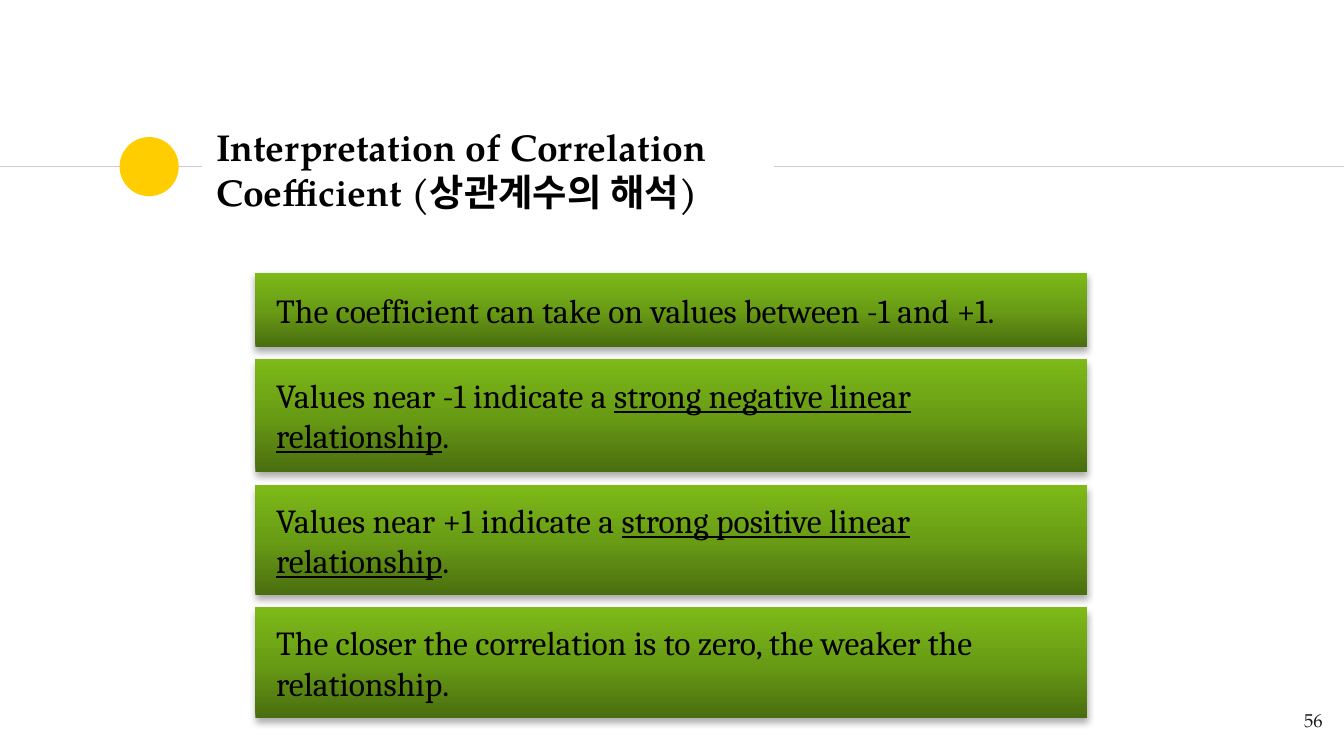
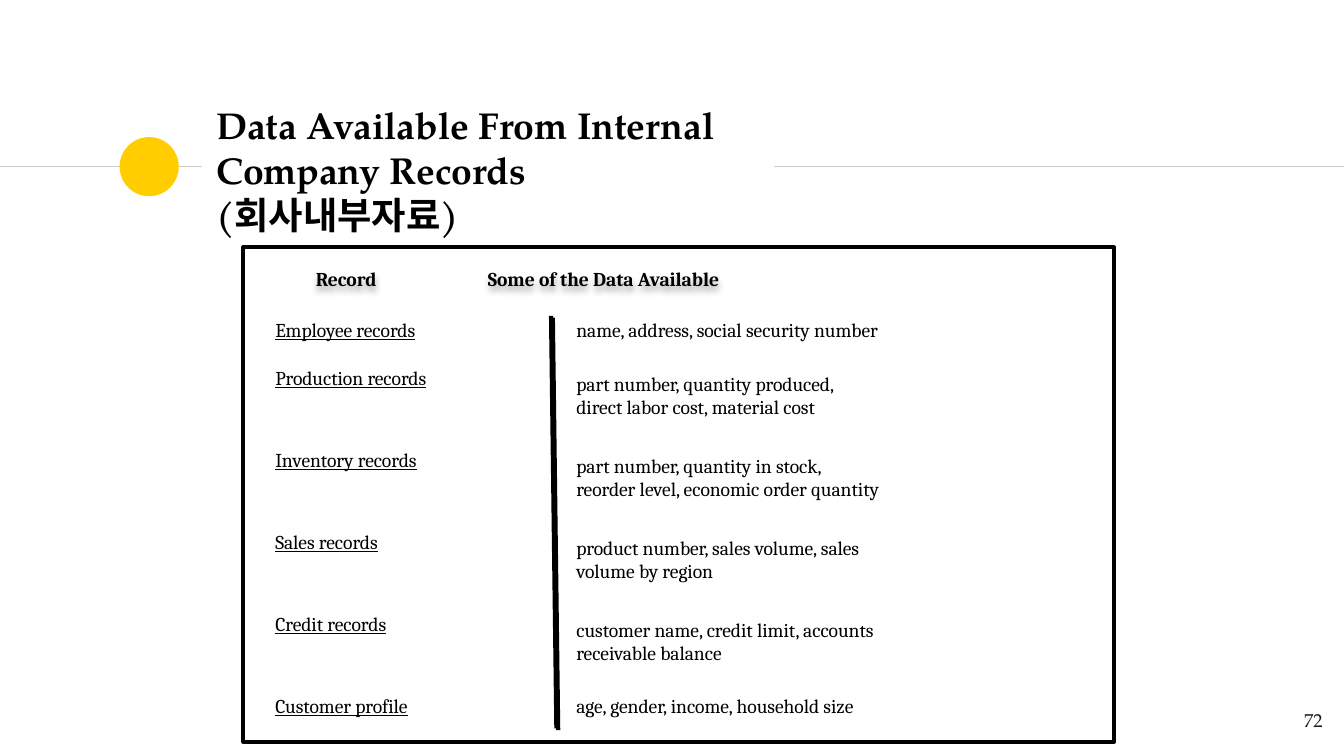
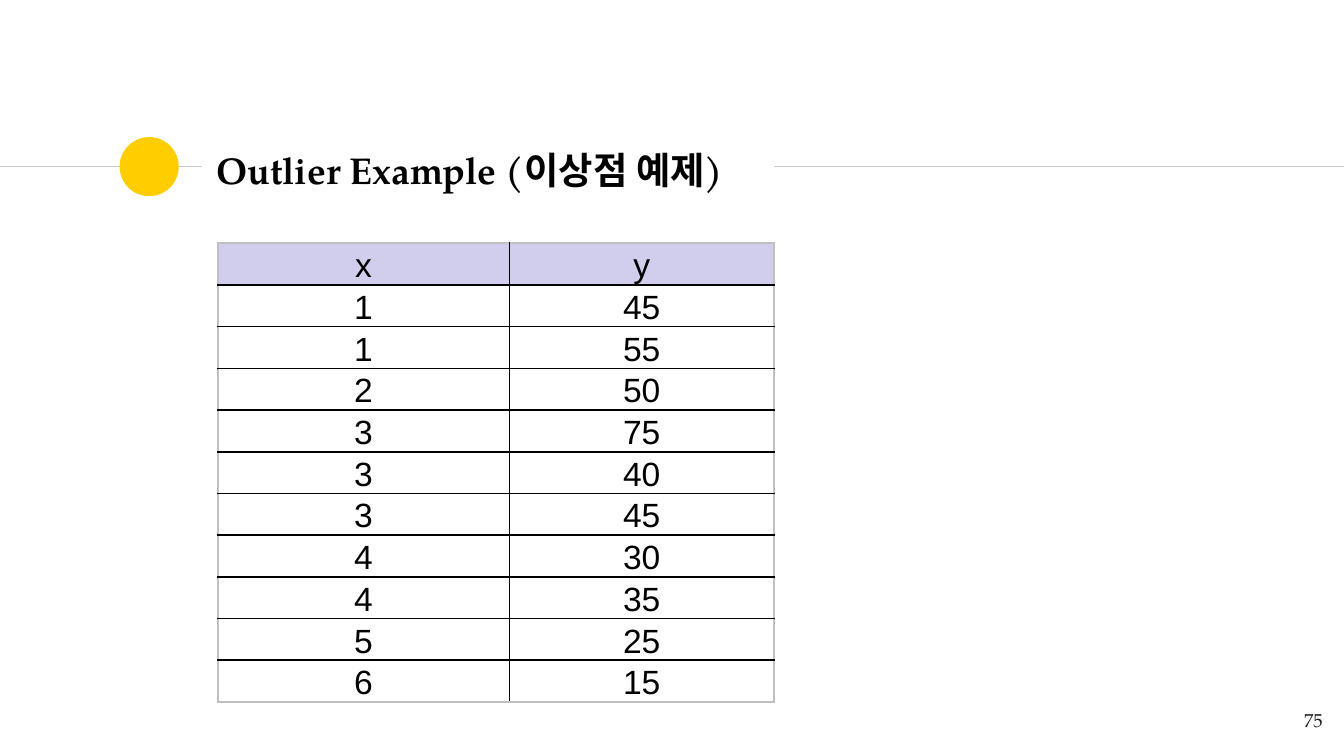
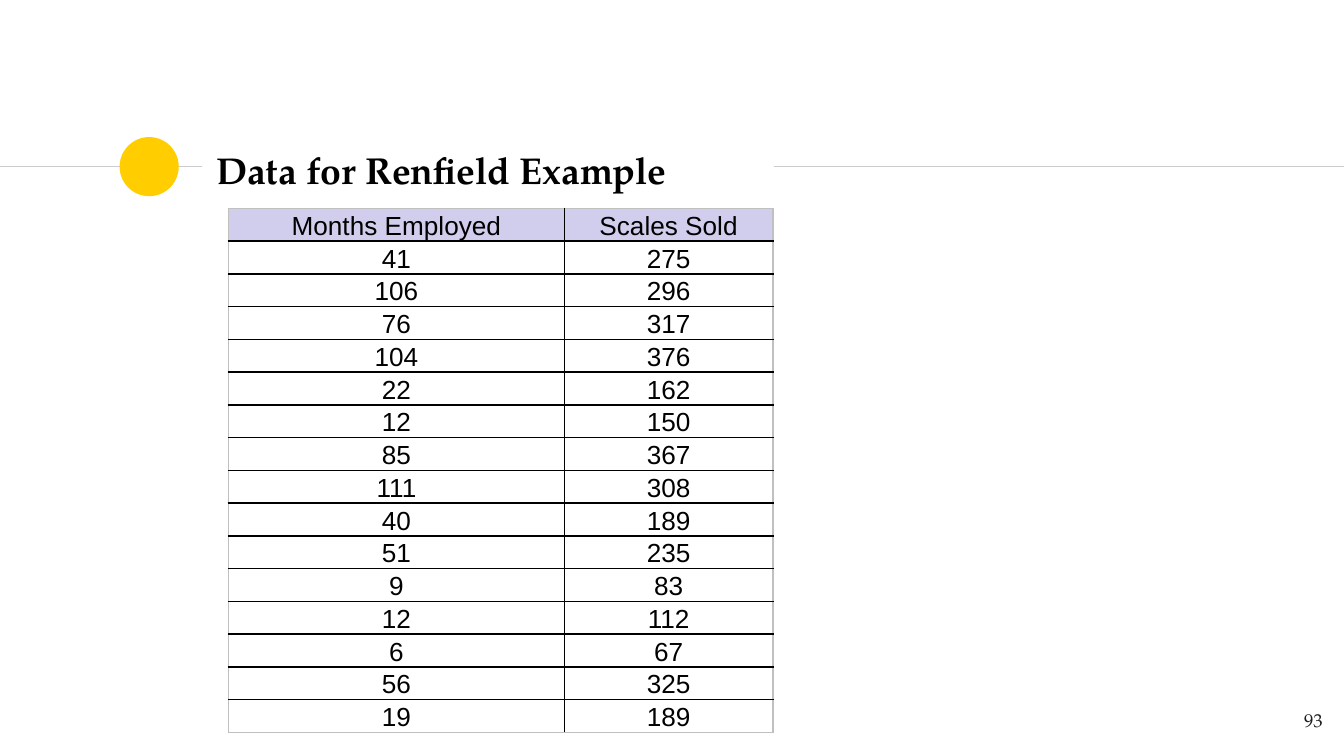
from dataclasses import dataclass

from pptx import Presentation
from pptx.dml.color import RGBColor
from pptx.enum.shapes import MSO_CONNECTOR, MSO_SHAPE
from pptx.enum.text import MSO_ANCHOR, PP_ALIGN
from pptx.oxml import parse_xml
from pptx.oxml.ns import nsdecls
from pptx.util import Inches, Pt

STRAIGHT = MSO_CONNECTOR.STRAIGHT
RECTANGLE, OVAL = MSO_SHAPE.RECTANGLE, MSO_SHAPE.OVAL
TOP, MIDDLE, BOTTOM = MSO_ANCHOR.TOP, MSO_ANCHOR.MIDDLE, MSO_ANCHOR.BOTTOM
LEFT, CENTER, RIGHT = PP_ALIGN.LEFT, PP_ALIGN.CENTER, PP_ALIGN.RIGHT


@dataclass(frozen=True)
class Theme:
    ink: str = "000000"
    paper: str = "FFFFFF"
    accent: str = "FFCD00"
    rule: str = "CCCCCC"
    number: str = "1D1D1B"
    header_fill: str = "D1CDED"
    table_edge: str = "C0C0C0"
    greens: tuple = ((0, "4A6E0F"), (50, "699C15"), (100, "7DBA18"))
    title_font: str = "TeX Gyre Pagella"
    body_font: str = "Cambria"
    table_font: str = "Arial"
    title_size: float = 20
    statement_size: float = 18
    record_size: float = 10.5
    number_size: float = 10


theme = Theme()

prs = Presentation()
prs.slide_width, prs.slide_height = Inches(10), Inches(5.625)
# Grid of 100 columns by 56.25 rows with square cells
COL, ROW = prs.slide_width / 100, prs.slide_height / 56.25

SHADOW = (f'<a:effectLst {nsdecls("a")}><a:outerShdw blurRad="{{}}" dist="{{}}" dir="{{}}" '
          'algn="ctr" rotWithShape="0"><a:srgbClr val="000000"><a:alpha val="{}"/>'
          '</a:srgbClr></a:outerShdw></a:effectLst>')
SOFT_SHADOW = SHADOW.format(Pt(3.5), Pt(2.2), 90 * 60000, 32000)
HARD_SHADOW = SHADOW.format(0, Pt(1.4), 45 * 60000, 100000)
NO_SHADOW = f'<a:effectLst {nsdecls("a")}/>'
STOPS = "".join(f'<a:gs pos="{pos * 1000}"><a:srgbClr val="{color}"/></a:gs>'
                for pos, color in theme.greens)
GREEN_GRADIENT = (f'<a:gradFill {nsdecls("a")} rotWithShape="1"><a:gsLst>{STOPS}</a:gsLst>'
                  '<a:lin ang="16200000" scaled="0"/></a:gradFill>')


def place(left, top, width, height):
    """Turn grid columns and rows into slide lengths."""
    return round(left * COL), round(top * ROW), round(width * COL), round(height * ROW)


def write(frame, paragraphs, font, size, color=theme.ink, bold=False, align=LEFT,
          anchor=MIDDLE, insets=(1, 0.5, 1, 0.5)):
    """Fill a text frame; each paragraph is a list of (text, underlined) runs."""
    frame.word_wrap = True
    frame.vertical_anchor = anchor
    left, top, right, bottom = insets
    frame.margin_left, frame.margin_right = round(left * COL), round(right * COL)
    frame.margin_top, frame.margin_bottom = round(top * ROW), round(bottom * ROW)
    for i, runs in enumerate(paragraphs):
        paragraph = frame.add_paragraph() if i else frame.paragraphs[0]
        paragraph.alignment = align
        for text, underlined in runs:
            run = paragraph.add_run()
            run.text = text
            run.font.name, run.font.size = font, Pt(size)
            run.font.bold, run.font.underline = bold, underlined
            run.font.color.rgb = RGBColor.from_string(color)


# Shared frame: rules, yellow dot, title and page number
pages = [
    ("Interpretation of Correlation Coefficient (상관계수의 해석)", 56),
    ("Data Available From Internal Company Records (회사내부자료)", 72),
    ("Outlier Example (이상점 예제)", 75),
    ("Data for Renfield Example", 93),
]
slides = []
for title, number in pages:
    slide = prs.slides.add_slide(prs.slide_layouts[6])
    slides.append(slide)
    for start, end in ((0, 15), (57.6, 100)):
        x1, y, x2, _ = place(start, 12.4, end, 0)
        rule = slide.shapes.add_connector(STRAIGHT, x1, y, x2, y)
        rule.line.color.rgb = RGBColor.from_string(theme.rule)
        rule.line.width = Pt(0.75)
        rule._element.spPr.append(parse_xml(NO_SHADOW))
    dot = slide.shapes.add_shape(OVAL, *place(8.9, 10.2, 4.4, 4.4))
    dot.shadow.inherit = False
    dot.fill.solid()
    dot.fill.fore_color.rgb = RGBColor.from_string(theme.accent)
    dot.line.fill.background()
    heading = slide.shapes.add_textbox(*place(15.1, 10.2, 42.4, 4.8))
    write(heading.text_frame, [[(title, False)]], theme.title_font, theme.title_size,
          bold=True, insets=(1, 1, 1, 1))
    page_number = slide.shapes.add_textbox(*place(93.4, 51.9, 6, 4.3))
    write(page_number.text_frame, [[(str(number), False)]], theme.title_font,
          theme.number_size, theme.number, align=RIGHT, anchor=TOP, insets=(1, 1, 1, 1))

correlation, records, outlier, sales = slides

# Correlation: four green statements
statements = [
    (20.3, 5.5, [[("The coefficient can take on values between -1 and +1.", False)]]),
    (26.7, 8.4, [[("Values near -1 indicate a ", False), ("strong negative linear", True)],
                 [("relationship", True), (".", False)]]),
    (36.1, 8.2, [[("Values near +1 indicate a ", False), ("strong positive linear", True)],
                 [("relationship", True), (".", False)]]),
    (45.2, 8.2, [[("The closer the correlation is to zero, the weaker the", False)],
                 [("relationship.", False)]]),
]
for top, height, paragraphs in statements:
    statement = correlation.shapes.add_shape(RECTANGLE, *place(19, top, 61.9, height))
    statement.line.fill.background()
    properties = statement._element.spPr
    properties.insert(2, parse_xml(GREEN_GRADIENT))
    properties.append(parse_xml(SOFT_SHADOW))
    write(statement.text_frame, paragraphs, theme.body_font, theme.statement_size,
          insets=(1.55, 0.5, 1, 0.5))

# Company records: framed panel with a heading line and a divider
panel = records.shapes.add_shape(RECTANGLE, *place(18.1, 18.4, 64.8, 36.8))
panel.shadow.inherit = False
panel.fill.solid()
panel.fill.fore_color.rgb = RGBColor.from_string(theme.paper)
panel.line.color.rgb = RGBColor.from_string(theme.ink)
panel.line.width = Pt(2)

column_heads = records.shapes.add_textbox(*place(20, 18.6, 62, 4.3))
write(column_heads.text_frame, [[("Record\tSome of the Data Available", False)]],
      theme.body_font, theme.record_size, bold=True, insets=(3.5, 0.5, 1, 0.5))
column_heads._element.spPr.append(parse_xml(SOFT_SHADOW))
column_heads.text_frame.paragraphs[0]._p.get_or_add_pPr().append(parse_xml(
    f'<a:tabLst {nsdecls("a")}><a:tab pos="{round(12.8 * COL)}" algn="l"/></a:tabLst>'))

x1, y1, x2, y2 = place(41, 23.5, 41.4, 54.2)
divider = records.shapes.add_connector(STRAIGHT, x1, y1, x2, y2)
divider.line.color.rgb = RGBColor.from_string(theme.ink)
divider.line.width = Pt(2.25)
divider._element.spPr.append(parse_xml(HARD_SHADOW))

# Company records: one label and its data per row
record_rows = [
    ("Employee records", ["name, address, social security number"]),
    ("Production records", ["part number, quantity produced,",
                            "direct labor cost, material cost"]),
    ("Inventory records", ["part number, quantity in stock,",
                           "reorder level, economic order quantity"]),
    ("Sales records", ["product number, sales volume, sales", "volume by region"]),
    ("Credit records", ["customer name, credit limit, accounts", "receivable balance"]),
    ("Customer profile", ["age, gender, income, household size"]),
]
for i, (record, details) in enumerate(record_rows):
    middle = 28.1 + 6.1 * (i - 1) if i else 24.5
    detail_middle = middle + 1.3 * (len(details) - 1)
    label = records.shapes.add_textbox(*place(19.5, middle - 2.2, 20, 4.4))
    write(label.text_frame, [[(record, True)]], theme.body_font, theme.record_size)
    detail = records.shapes.add_textbox(*place(41.9, detail_middle - 2.8, 40, 5.6))
    write(detail.text_frame, [[(line, False)] for line in details],
          theme.body_font, theme.record_size)

# Data tables: slide, left, top, column widths, total height, type size, side inset, rows
outlier_rows = [("x", "y"), (1, 45), (1, 55), (2, 50), (3, 75), (3, 40), (3, 45),
                (4, 30), (4, 35), (5, 25), (6, 15)]
sales_rows = [("Months Employed", "Scales Sold"), (41, 275), (106, 296), (76, 317),
              (104, 376), (22, 162), (12, 150), (85, 367), (111, 308), (40, 189),
              (51, 235), (9, 83), (12, 112), (6, 67), (56, 325), (19, 189)]
data_tables = [
    (outlier, 16.2, 18.1, (21.7, 19.7), 33.8, 18, 0.3, outlier_rows),
    (sales, 17, 15.5, (25, 15.5), 37.3, 14, 0.1, sales_rows),
]
for slide, left, top, widths, height, size, side, rows in data_tables:
    table = slide.shapes.add_table(len(rows), len(widths),
                                   *place(left, top, sum(widths), height)).table
    table.first_row = table.horz_banding = False
    for column, width in zip(table.columns, widths):
        column.width = round(width * COL)
    for r, values in enumerate(rows):
        table.rows[r].height = round(height / len(rows) * ROW)
        for c, value in enumerate(values):
            cell = table.cell(r, c)
            outer_edges = {"lnL": c == 0, "lnR": c == len(widths) - 1,
                           "lnT": r == 0, "lnB": r == len(rows) - 1}
            for edge, is_outer in outer_edges.items():
                color = theme.table_edge if is_outer else theme.ink
                cell._tc.get_or_add_tcPr().append(parse_xml(
                    f'<a:{edge} {nsdecls("a")} w="{Pt(1)}"><a:solidFill>'
                    f'<a:srgbClr val="{color}"/></a:solidFill></a:{edge}>'))
            if r == 0:
                cell.fill.solid()
                cell.fill.fore_color.rgb = RGBColor.from_string(theme.header_fill)
            else:
                cell.fill.background()
            write(cell.text_frame, [[(str(value), False)]], theme.table_font, size,
                  align=CENTER)
            cell.vertical_anchor = BOTTOM
            cell.margin_left = cell.margin_right = round(side * COL)
            cell.margin_top, cell.margin_bottom = round(0.1 * ROW), 0

prs.save("out.pptx")
